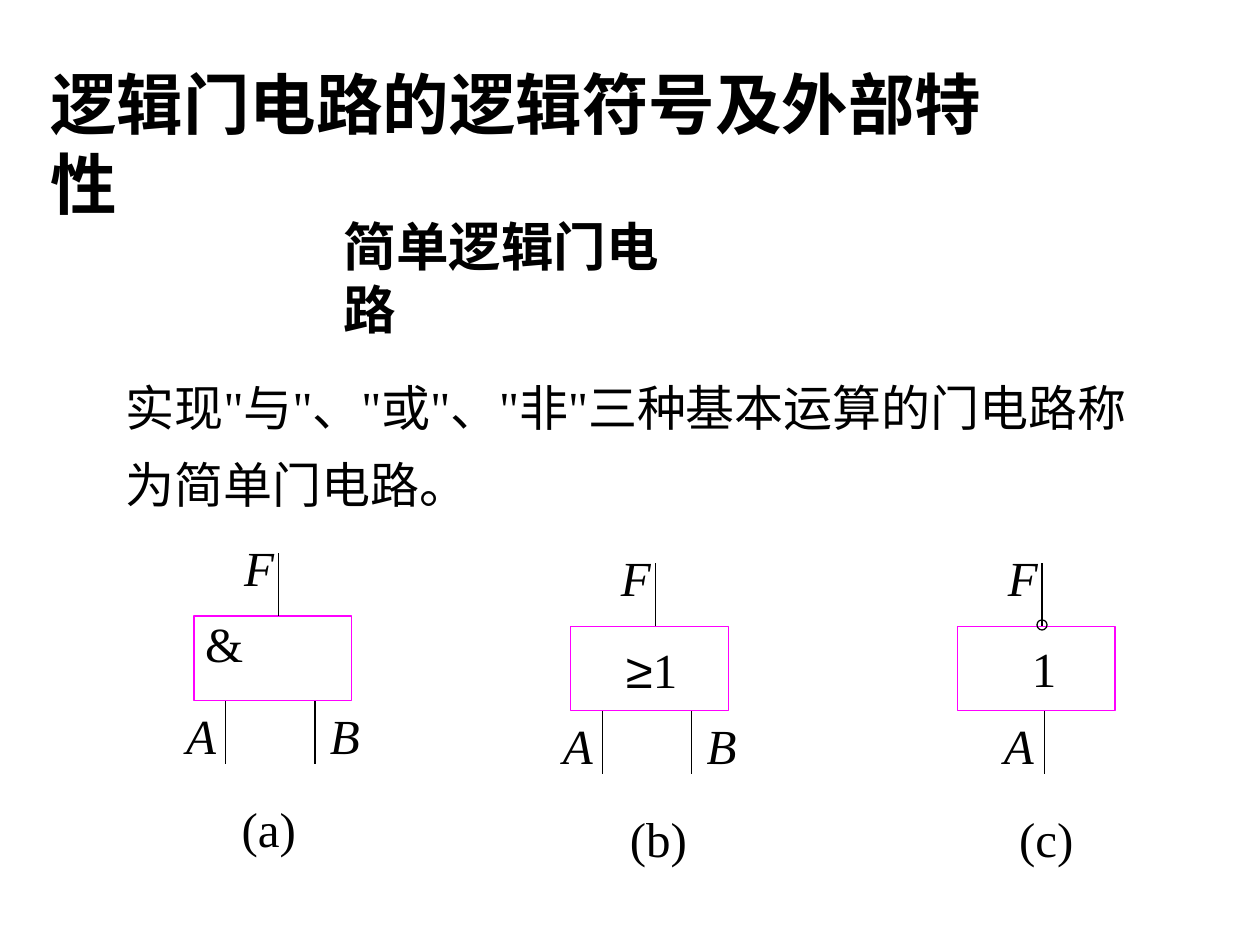
from lxml import etree
from pptx import Presentation
from pptx import util as u
from pptx.dml.color import RGBColor
from pptx.enum import shapes, text
from pptx.oxml.ns import qn

BLACK = RGBColor(0x00, 0x00, 0x00)
MAGENTA = RGBColor(0xFF, 0x00, 0xFF)
SERIF, SANS = "Times New Roman", "Arial"
COLUMNS, ROWS = 100, 75
BODY_SIZE = 28


class Board:
    """Draws on a grid of 100 columns by 75 rows."""

    def __init__(self, presentation):
        self.column = presentation.slide_width / COLUMNS
        self.row = presentation.slide_height / ROWS
        self.slide = presentation.slides.add_slide(presentation.slide_layouts[6])
        self.target = self.slide.shapes
        self.origin = (0, 0)

    def begin_group(self, left, top):
        """Collect what follows in a group, placed relative to left and top."""
        self.target = self.slide.shapes.add_group_shape().shapes
        self.origin = (left, top)

    def place(self, x, y):
        return (u.Emu(round((self.origin[0] + x) * self.column)),
                u.Emu(round((self.origin[1] + y) * self.row)))

    def extent(self, width, height):
        return u.Emu(round(width * self.column)), u.Emu(round(height * self.row))

    def label(self, x, y, width, height, *runs, size=BODY_SIZE, bold=False,
              italic=False, wrap=False, line_spacing=None):
        """Add one paragraph; each run is a string or a (string, font) pair."""
        box = self.target.add_textbox(*self.place(x, y), *self.extent(width, height))
        frame = box.text_frame
        frame.word_wrap = wrap
        frame.auto_size = text.MSO_AUTO_SIZE.SHAPE_TO_FIT_TEXT
        paragraph = frame.paragraphs[0]
        if line_spacing:
            paragraph.line_spacing = line_spacing
        for item in runs:
            content, font_name = (item, SERIF) if isinstance(item, str) else item
            run = paragraph.add_run()
            run.text = content
            font = run.font
            font.name, font.size = font_name, u.Pt(size)
            font.bold, font.italic = bold, italic
            font.color.rgb = BLACK

    def outline(self, kind, x, y, width, height, color):
        shape = self.target.add_shape(kind, *self.place(x, y), *self.extent(width, height))
        shape.shadow.inherit = False
        shape.fill.background()
        shape.line.color.rgb = color
        shape.line.width = u.Pt(0.75)

    def wire(self, x, top, bottom):
        connector = self.target.add_connector(
            shapes.MSO_CONNECTOR.STRAIGHT, *self.place(x, bottom), *self.place(x, top))
        connector.line.color.rgb = BLACK
        connector.line.width = u.Pt(0.75)
        etree.SubElement(connector._element.spPr, qn("a:effectLst"))

    def gate(self, left, top, symbol, inputs, caption, inverted=False):
        """Draw a gate; symbol and caption are (x, y, width, runs),
        inputs are (name, name x, wire x), all relative to the gate's body."""
        width, height, lead = 12.5, 6.7, 5
        output_x = 6.7
        self.begin_group(left, top)
        self.outline(shapes.MSO_SHAPE.RECTANGLE, 0, 0, width, height, MAGENTA)
        self.wire(output_x, -lead, 0)
        self.label(3, -6.7, 4.4, 5.7, "F", italic=True)
        for name, name_x, wire_x in inputs:
            self.wire(wire_x, height, height + lead)
            self.label(name_x, 6.6, 4.4, 5.7, name, italic=True)
        for x, y, label_width, runs in (symbol, caption):
            self.label(x, y, label_width, 5.7, *runs)
        if inverted:
            self.outline(shapes.MSO_SHAPE.OVAL, output_x - 0.4, -0.5, 0.8, 0.8, BLACK)


def main():
    presentation = Presentation()
    presentation.slide_width, presentation.slide_height = u.Inches(10), u.Inches(7.5)
    board = Board(presentation)

    board.label(3, 4.5, 81.2, 7.4, "逻辑门电路的逻辑符号及外部特性", size=38, bold=True)
    board.label(26.3, 16.5, 31.1, 6, "简单逻辑门电路", size=30, bold=True)
    board.label(9, 28.1, 85, 13.2,
                "实现\"与\"、\"或\"、\"非\"三种基本运算的门电路称为简单门电路。",
                wrap=True, line_spacing=1.3)

    two_inputs = [("A", -1.6, 2.5), ("B", 9.8, 9.6)]
    one_input = [("A", 2.7, 6.9)]
    caption_y = 14
    board.gate(15.4, 48.9, (-0.1, -0.7, 5, ["&"]), two_inputs,
               (2.8, caption_y, 6.3, ["(a)"]))
    board.gate(45.3, 49.7, (3.4, 0.6, 7, [("≥", SANS), "1"]), two_inputs,
               (3.7, caption_y, 6.5, ["(b)"]))
    board.gate(76, 49.7, (4.9, 0.5, 3.9, ["1"]), one_input,
               (3.9, caption_y, 6.3, ["(c)"]), inverted=True)

    presentation.save("out.pptx")


if __name__ == "__main__":
    main()
